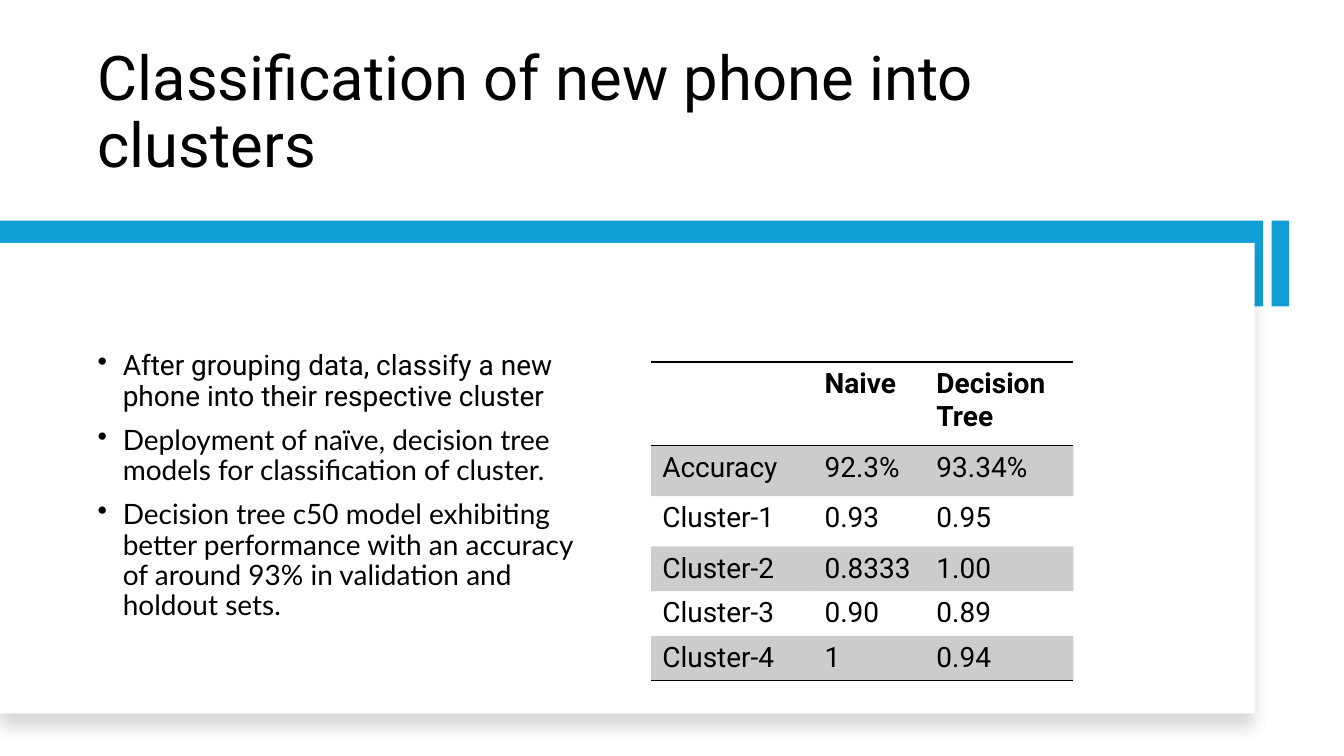
from lxml import etree
from pptx import Presentation
from pptx.dml.color import RGBColor
from pptx.enum import shapes, text
from pptx.oxml import ns, parse_xml
from pptx.util import Cm, Pt

# Content
TITLE = "Classification of new phone into clusters"
POINTS = [
    ("After grouping data, classify a new phone into their respective cluster", "Roboto"),
    ("Deployment of naïve, decision tree models for classification of cluster.", "Lato"),
    ("Decision tree c50 model exhibiting better performance with an accuracy "
     "of around 93% in validation and holdout sets.", "Lato"),
]
SCORES = [
    ("", "Naive", "Decision Tree"),
    ("Accuracy", "92.3%", "93.34%"),
    ("Cluster-1", "0.93", "0.95"),
    ("Cluster-2", "0.8333", "1.00"),
    ("Cluster-3", "0.90", "0.89"),
    ("Cluster-4", "1", "0.94"),
]
COLS = (4.09, 2.82, 3.73)
ROWS = (2.11, 1.27, 1.27, 1.12, 1.12, 1.12)

BLACK = RGBColor(0, 0, 0)
WHITE = RGBColor(255, 255, 255)
BLUE = RGBColor(0x0F, 0x9E, 0xD5)
PLAIN = "{2D5ABB26-0587-4C30-8999-92F81FD0307C}"  # no style, no grid
LEFT = 2.21
BAR_TOP, BAR_HIGH = 5.56, 2.16

deck = Presentation()
deck.slide_width, deck.slide_height = Cm(33.87), Cm(19.05)
slide = deck.slides.add_slide(deck.slide_layouts[6])


def add_rect(x, y, w, h, color):
    rect = slide.shapes.add_shape(
        shapes.MSO_SHAPE.RECTANGLE, Cm(x), Cm(y), Cm(w), Cm(h))
    rect.shadow.inherit = False
    rect.fill.solid()
    rect.fill.fore_color.rgb = color
    rect.line.fill.background()
    return rect


def add_box(x, y, w, h, anchor):
    frame = slide.shapes.add_textbox(Cm(x), Cm(y), Cm(w), Cm(h)).text_frame
    frame.word_wrap = True
    frame.vertical_anchor = anchor
    return frame


def style(para, size, face="Roboto", bold=False):
    font = para.font
    font.size, font.name, font.bold = Pt(size), face, bold
    font.color.rgb = BLACK


def add_edge(cell, tag, spot):
    line = parse_xml(
        f'<a:{tag} {ns.nsdecls("a")} w="12700"><a:solidFill>'
        f'<a:srgbClr val="{BLACK}"/></a:solidFill></a:{tag}>')
    cell._tc.get_or_add_tcPr().insert(spot, line)


# Title
para = add_box(LEFT, 1.07, 27.97, 3.61, text.MSO_ANCHOR.BOTTOM).paragraphs[0]
para.text = TITLE
para.line_spacing = 0.9
style(para, 44)

# Blue bar, white panel with soft shadow, blue tab
add_rect(0, BAR_TOP, 31.83, BAR_HIGH, BLUE)
panel = add_rect(0, 6.12, 31.62, 11.86, WHITE)
glow = panel._element.spPr.find(ns.qn("a:effectLst"))
glow.append(parse_xml(
    f'<a:outerShdw {ns.nsdecls("a")} blurRad="{Pt(11)}" dist="{Pt(10)}" '
    f'dir="5400000" algn="t" rotWithShape="0"><a:srgbClr val="{BLACK}">'
    '<a:alpha val="15000"/></a:srgbClr></a:outerShdw>'))
add_rect(32.05, BAR_TOP, 0.43, BAR_HIGH, BLUE)

# Bullet points
frame = add_box(LEFT, 7.21, 12.6, 10.11, text.MSO_ANCHOR.MIDDLE)
for i, (words, face) in enumerate(POINTS):
    para = frame.add_paragraph() if i else frame.paragraphs[0]
    para.text = words
    para.line_spacing = 0.9
    para.space_before = Pt(10)
    style(para, 20, face)
    props = para._p.get_or_add_pPr()
    props.set("marL", str(Pt(18)))
    props.set("indent", str(-Pt(18)))
    mark = parse_xml(f'<a:buChar {ns.nsdecls("a")} char="•"/>')
    props.find(ns.qn("a:defRPr")).addprevious(mark)

# Score table
table = slide.shapes.add_table(
    len(ROWS), len(COLS), Cm(16.41), Cm(9.12),
    Cm(sum(COLS)), Cm(sum(ROWS))).table
table.first_row = table.horz_banding = False
table._tbl.tblPr.find(ns.qn("a:tableStyleId")).text = PLAIN
for col, width in zip(table.columns, COLS):
    col.width = Cm(width)
for r, (row, high) in enumerate(zip(table.rows, ROWS)):
    row.height = Cm(high)
    for cell, words in zip(row.cells, SCORES[r]):
        cell.text = words
        cell.margin_left = cell.margin_right = Cm(0.28)
        cell.margin_top = cell.margin_bottom = Cm(0.14)
        style(cell.text_frame.paragraphs[0], 20, bold=r == 0)
        if r % 2:
            cell.fill.solid()
            cell.fill.fore_color.rgb = BLACK
            tint = cell._tc.tcPr.find(".//" + ns.qn("a:srgbClr"))
            etree.SubElement(tint, ns.qn("a:alpha"), val="20000")
        else:
            cell.fill.background()
        if r in (0, len(ROWS) - 1):
            add_edge(cell, "lnB", 0)
        if r == 0:
            add_edge(cell, "lnT", 0)

deck.save("out.pptx")
